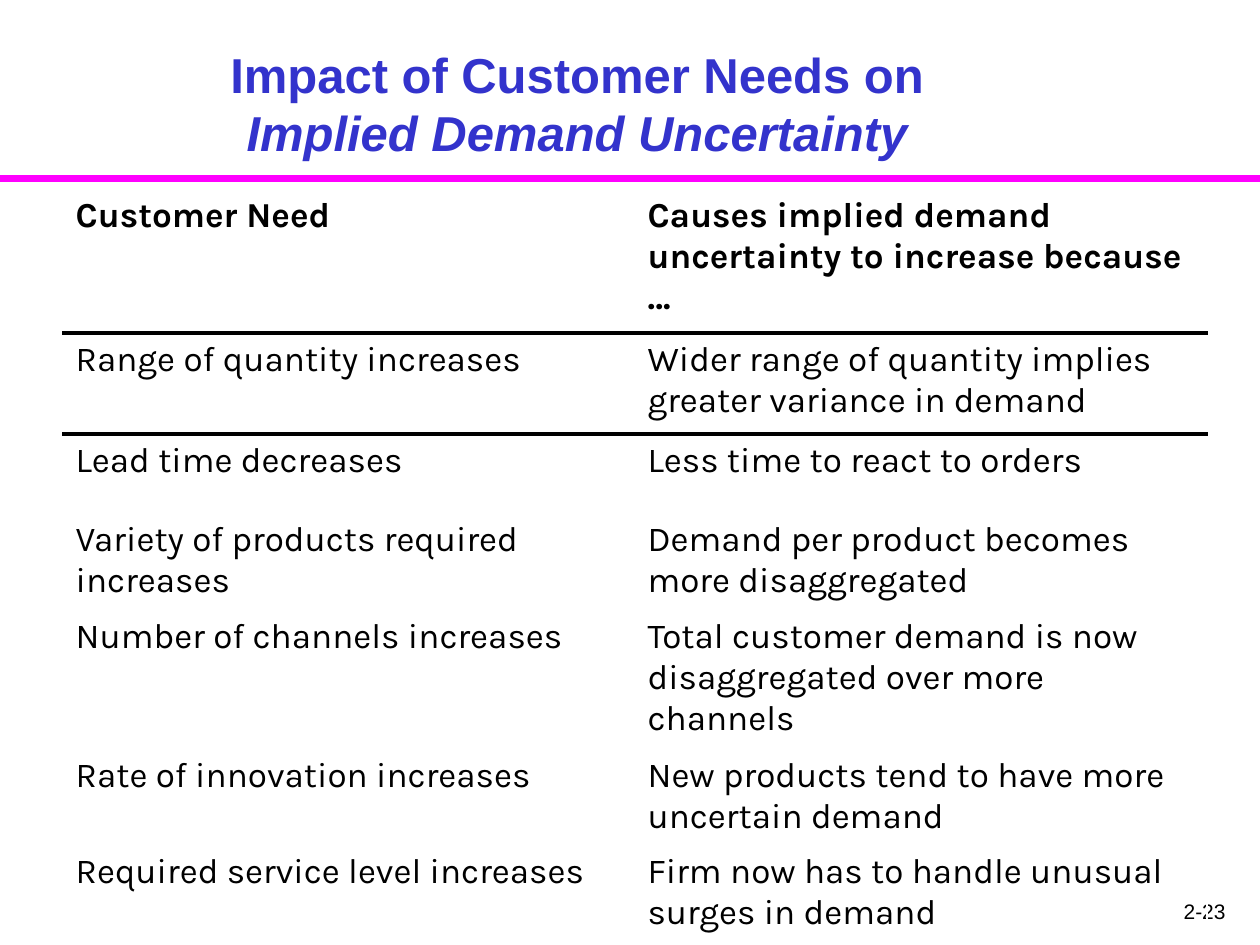
from lxml.etree import SubElement
from pptx import Presentation
from pptx.dml.color import RGBColor
from pptx.enum.shapes import MSO_CONNECTOR
from pptx.enum.text import MSO_ANCHOR, PP_ALIGN
from pptx.oxml import parse_xml
from pptx.oxml.ns import qn, nsdecls
from pptx.util import Emu, Pt

BLACK = RGBColor(0x00, 0x00, 0x00)
BLUE = RGBColor(0x33, 0x33, 0xCC)
PINK = RGBColor(0xFF, 0x00, 0xFF)


def px(n):
    return Emu(n * 914400 // 126)


def style(font, name, size, color, bold=False):
    font.name, font.size, font.bold = name, Pt(size), bold
    font.color.rgb = color


deck = Presentation()
deck.slide_width, deck.slide_height = px(1260), px(945)
slide = deck.slides.add_slide(deck.slide_layouts[5])
shapes = slide.shapes

# Rule under the title
rule = shapes.add_connector(MSO_CONNECTOR.STRAIGHT, 0, px(179), px(1260), px(179))
rule.line.color.rgb = PINK
rule.line.width = Pt(4)
SubElement(rule.element.spPr, qn("a:effectLst"))

# Title
title = shapes.title
title.left, title.top, title.width, title.height = px(136), px(37), px(882), px(131)
frame = title.text_frame
frame.word_wrap = True
frame.vertical_anchor = MSO_ANCHOR.BOTTOM
para = frame.paragraphs[0]
para.alignment = PP_ALIGN.CENTER
style(para.font, "Arial", 28, BLUE, True)
para.add_run().text = "Impact of Customer Needs on "
term = para.add_run()
term.text = "Implied Demand Uncertainty"
term.font.italic = True

# Page number
box = shapes.add_textbox(px(976), px(892), px(262), px(53))
box.text_frame.word_wrap = True
para = box.text_frame.paragraphs[0]
para.text = "2-23"
para.alignment = PP_ALIGN.RIGHT
style(para.font, "Arial", 12, BLACK)

# Table of needs and causes
rows = [
    (144, "Customer Need", "Causes implied demand uncertainty to increase because …"),
    (101, "Range of quantity increases",
     "Wider range of quantity implies greater variance in demand"),
    (79, "Lead time decreases", "Less time to react to orders"),
    (97, "Variety of products required increases",
     "Demand per product becomes more disaggregated"),
    (97, "Number of channels increases",
     "Total customer demand is now disaggregated over more channels"),
    (93, "Rate of innovation increases",
     "New products tend to have more uncertain demand"),
    (93, "Required service level increases",
     "Firm now has to handle unusual surges in demand"),
]
high = sum(row[0] for row in rows)
table = shapes.add_table(len(rows), 2, px(63), px(189), px(1144), px(high)).table
table.first_row = table.horz_banding = False
for col in table.columns:
    col.width = px(572)

for i, (tall, *texts) in enumerate(rows):
    table.rows[i].height = px(tall)
    for j, text in enumerate(texts):
        cell = table.cell(i, j)
        para = cell.text_frame.paragraphs[0]
        para.text = text
        style(para.font, "Karla", 20, BLACK, i == 0)
        cell.fill.background()
        # Line between the head row and the body
        if i < 2:
            side = "lnT" if i else "lnB"
            edge = parse_xml(
                f'<a:{side} {nsdecls("a")} w="{Pt(2.25)}"><a:solidFill>'
                f'<a:srgbClr val="{BLACK}"/></a:solidFill></a:{side}>')
            cell._tc.get_or_add_tcPr().insert(0, edge)

deck.save("out.pptx")
